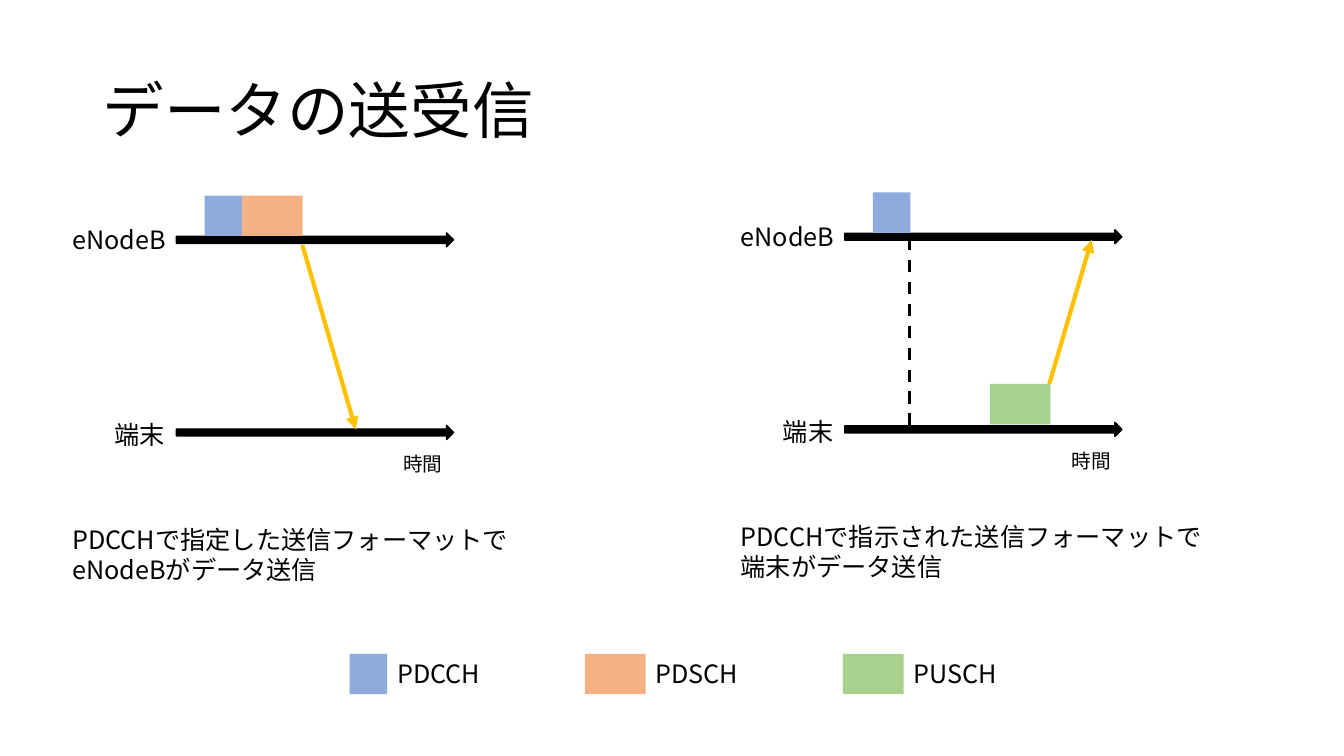
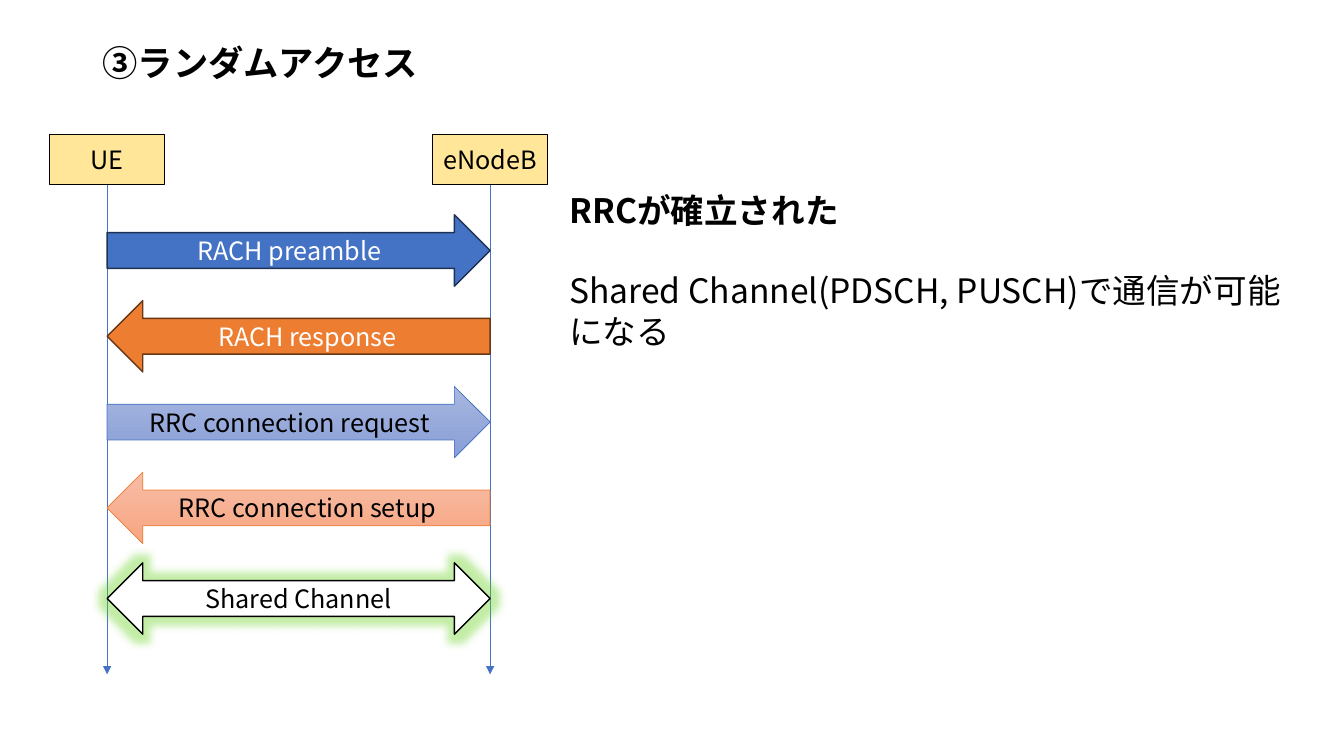
from dataclasses import dataclass

from lxml.etree import SubElement
from pptx import Presentation
from pptx.dml.color import RGBColor
from pptx.enum.dml import MSO_LINE_DASH_STYLE as Dash
from pptx.enum.shapes import MSO_CONNECTOR as Connector, MSO_SHAPE as Preset
from pptx.enum.text import MSO_ANCHOR as Anchor, MSO_AUTO_SIZE as AutoSize, PP_ALIGN as Align
from pptx.oxml.ns import qn
from pptx.util import Pt


@dataclass(frozen=True)
class Theme:
    """Colours, fonts and type sizes shared by both slides."""
    font: str = "Noto Sans CJK JP"
    heading_font: str = "Arial"
    black: str = "000000"
    white: str = "FFFFFF"
    pdcch: str = "8FAADC"
    pdsch: str = "F4B183"
    pusch: str = "A9D18E"
    beam: str = "FFC000"
    node: str = "FFE699"
    blue: str = "4472C4"
    blue_edge: str = "1E3256"
    blue_fade: tuple = ("A8B7DF", "889ED7")
    orange: str = "ED7D31"
    orange_edge: str = "683715"
    orange_fade: tuple = ("F7BDA5", "F8A582")
    glow: str = "69D321"
    title: float = 44
    heading: float = 25.2
    statement: float = 24
    body: float = 18
    small: float = 14


@dataclass(frozen=True)
class Box:
    """A rectangle in points."""
    left: float
    top: float
    width: float
    height: float

    def inner(self, x, y, width, height):
        """Return a box placed relative to this one."""
        return Box(self.left + x, self.top + y, width, height)

    def point(self, x, y):
        """Return a point placed relative to this box."""
        return self.left + x, self.top + y

    def lengths(self):
        """Return the four sides as slide lengths."""
        return [Pt(side) for side in (self.left, self.top, self.width, self.height)]


THEME = Theme()
SLIDE_WIDTH, SLIDE_HEIGHT = 960, 540
CHANNEL_HEIGHT = 28.8
CHANNELS = {"PDCCH": (THEME.pdcch, 26.8), "PDSCH": (THEME.pdsch, 43.4), "PUSCH": (THEME.pusch, 43.4)}


def add_run(paragraph, text, size=THEME.body, color=THEME.black, bold=False, font=THEME.font):
    """Add one formatted run with Latin and East Asian fonts."""
    run = paragraph.add_run()
    run.text = text
    run.font.size = Pt(size)
    run.font.bold = bold
    run.font.name = font
    run.font.color.rgb = RGBColor.from_string(color)
    SubElement(run.font._element, qn("a:ea"), typeface=THEME.font)


def add_text(slide, box, lines, wrap=False, gap=0):
    """Add a growing text box from (text, size, bold) lines."""
    frame = slide.shapes.add_textbox(*box.lengths()).text_frame
    frame.word_wrap = wrap
    frame.auto_size = AutoSize.SHAPE_TO_FIT_TEXT
    for index, (text, size, bold) in enumerate(lines):
        paragraph = frame.add_paragraph() if index else frame.paragraphs[0]
        paragraph.space_before = Pt(gap if index else 0)
        add_run(paragraph, text, size, bold=bold)


def add_block(slide, preset, box, fill, edge=None, weight=1, text="", color=THEME.black):
    """Add a preset shape with a solid or two-colour fill."""
    block = slide.shapes.add_shape(preset, *box.lengths())
    block.shadow.inherit = False
    if isinstance(fill, tuple):
        block.fill.gradient()
        block.fill.gradient_angle = 270
        for stop, shade in zip(block.fill.gradient_stops, fill):
            stop.color.rgb = RGBColor.from_string(shade)
    else:
        block.fill.solid()
        block.fill.fore_color.rgb = RGBColor.from_string(fill)
    if edge:
        block.line.color.rgb = RGBColor.from_string(edge)
        block.line.width = Pt(weight)
    else:
        block.line.fill.background()
    if text:
        block.text_frame.vertical_anchor = Anchor.MIDDLE
        paragraph = block.text_frame.paragraphs[0]
        paragraph.alignment = Align.CENTER
        add_run(paragraph, text, color=color)
    return block


def add_line(slide, start, end, color, weight, dashed=False, arrow=True):
    """Add a straight line, dashed or with an arrowhead on request."""
    line = slide.shapes.add_connector(Connector.STRAIGHT, *[Pt(n) for n in (*start, *end)])
    line.line.color.rgb = RGBColor.from_string(color)
    line.line.width = Pt(weight)
    if dashed:
        line.line.dash_style = Dash.DASH
    properties = line.element.spPr
    if arrow:
        SubElement(properties.find(qn("a:ln")), qn("a:tailEnd"), type="triangle")
    SubElement(properties, qn("a:effectLst"))


def add_glow(block, color, radius, opacity):
    """Surround a shape with a soft glow."""
    effects = block.element.spPr.find(qn("a:effectLst"))
    glow = SubElement(effects, qn("a:glow"), rad=str(Pt(radius)))
    shade = SubElement(glow, qn("a:srgbClr"), val=color)
    SubElement(shade, qn("a:alpha"), val=str(opacity * 1000))


def add_titled_slide(deck, text, height, **style):
    """Add a slide and set its title placeholder."""
    slide = deck.slides.add_slide(deck.slide_layouts[5])
    title = slide.shapes.title
    title.left, title.top, title.width, title.height = Box(66, 28.8, 828, height).lengths()
    frame = title.text_frame
    frame.word_wrap = True
    frame.auto_size = AutoSize.NONE
    frame.vertical_anchor = Anchor.MIDDLE
    paragraph = frame.paragraphs[0]
    paragraph.alignment = Align.LEFT
    paragraph.line_spacing = 0.9
    add_run(paragraph, text, **style)
    return slide


def add_channel(slide, box, name, x, y):
    """Add the coloured block of a channel."""
    color, width = CHANNELS[name]
    add_block(slide, Preset.RECTANGLE, box.inner(x, y, width, CHANNEL_HEIGHT), color)


def add_timeline(slide, box, channels, beam, caption, grant_x=None):
    """Add the two time axes, their channels, the beam and the caption."""
    if grant_x:
        add_line(slide, box.point(grant_x, 32.4), box.point(grant_x, 168.5),
                 THEME.black, 2.25, dashed=True, arrow=False)
    for axis_y in (26.6, 164.2):
        add_block(slide, Preset.RIGHT_ARROW, box.inner(81.4, axis_y, 198, 10), THEME.black, THEME.black)
    for text, size, label in (
        ("eNodeB", THEME.body, box.inner(0, 17.3, 81.4, 28.8)),
        ("端末", THEME.body, box.inner(30.2, 156.2, 51.2, 28.8)),
        ("時間", THEME.small, box.inner(236.2, 179.3, 42.5, 24.5)),
    ):
        add_text(slide, label, [(text, size, False)])
    for name, x, y in channels:
        add_channel(slide, box, name, x, y)
    add_line(slide, *[box.point(*end) for end in beam], THEME.beam, 3)
    add_text(slide, box.inner(0, 231.1, box.width, 51.1), [(caption, THEME.body, False)], wrap=True)


def add_legend(slide, box):
    """Add the channel key in a row."""
    for name, x in zip(CHANNELS, (0, 168, 352.3)):
        width = CHANNELS[name][1]
        add_channel(slide, box, name, x, 0)
        add_text(slide, box.inner(x + width, 0, 78, box.height), [(name, THEME.body, False)])


def add_sequence(slide, box):
    """Add two nodes, their lifelines and the messages between them."""
    node_width, node_height, span = 82.4, 36, 273.6
    for name, x in (("UE", 0), ("eNodeB", span)):
        add_block(slide, Preset.RECTANGLE, box.inner(x, 0, node_width, node_height),
                  THEME.node, THEME.black, text=name)
    first = node_width / 2
    for x in (first, first + span):
        add_line(slide, box.point(x, node_height), box.point(x, box.height), THEME.blue, 0.5)
    messages = (
        ("RACH preamble", Preset.RIGHT_ARROW, THEME.blue, THEME.blue_edge, 1, THEME.white),
        ("RACH response", Preset.LEFT_ARROW, THEME.orange, THEME.orange_edge, 1, THEME.white),
        ("RRC connection request", Preset.RIGHT_ARROW, THEME.blue_fade, THEME.blue, 0.5, THEME.black),
        ("RRC connection setup", Preset.LEFT_ARROW, THEME.orange_fade, THEME.orange, 0.5, THEME.black),
    )
    for row, (text, preset, fill, edge, weight, color) in enumerate(messages):
        add_block(slide, preset, box.inner(first, 57.4 + 61.3 * row, span, 51),
                  fill, edge, weight, text, color)
    shared = add_block(slide, Preset.LEFT_RIGHT_ARROW, box.inner(first, 306, span, 51),
                       THEME.white, THEME.black, text="Shared Channel")
    add_glow(shared, THEME.glow, 11, 40)


def build_transfer_slide(deck):
    """Build the slide on sending and receiving data."""
    slide = add_titled_slide(deck, "データの送受信", 104.4, size=THEME.title)
    add_timeline(slide, Box(44.6, 139.7, 334, 282),
                 [("PDCCH", 101.5, 0), ("PDSCH", 128.2, 0)],
                 [(171.4, 35.3), (209.5, 167)],
                 "PDCCHで指定した送信フォーマットでeNodeBがデータ送信")
    add_timeline(slide, Box(522, 137.5, 352, 282),
                 [("PDCCH", 101.5, 0), ("PUSCH", 185, 136.8)],
                 [(227.5, 136.8), (257.8, 33.8)],
                 "PDCCHで指示された送信フォーマットで端末がデータ送信", grant_x=127.4)
    add_legend(slide, Box(249.8, 467, 508, CHANNEL_HEIGHT))


def build_access_slide(deck):
    """Build the slide on random access."""
    slide = add_titled_slide(deck, "③ランダムアクセス", 36, size=THEME.heading,
                             bold=True, font=THEME.heading_font)
    add_sequence(slide, Box(35.3, 96, 356, 385.7))
    add_text(slide, Box(399.6, 131.8, 545, 123.8),
             [("RRCが確立された", THEME.statement, True),
              ("Shared Channel(PDSCH, PUSCH)で通信が可能になる", THEME.statement, False)],
             wrap=True, gap=28.8)


def main():
    """Build and save the deck."""
    deck = Presentation()
    deck.slide_width, deck.slide_height = Pt(SLIDE_WIDTH), Pt(SLIDE_HEIGHT)
    build_transfer_slide(deck)
    build_access_slide(deck)
    deck.save("out.pptx")


if __name__ == "__main__":
    main()
